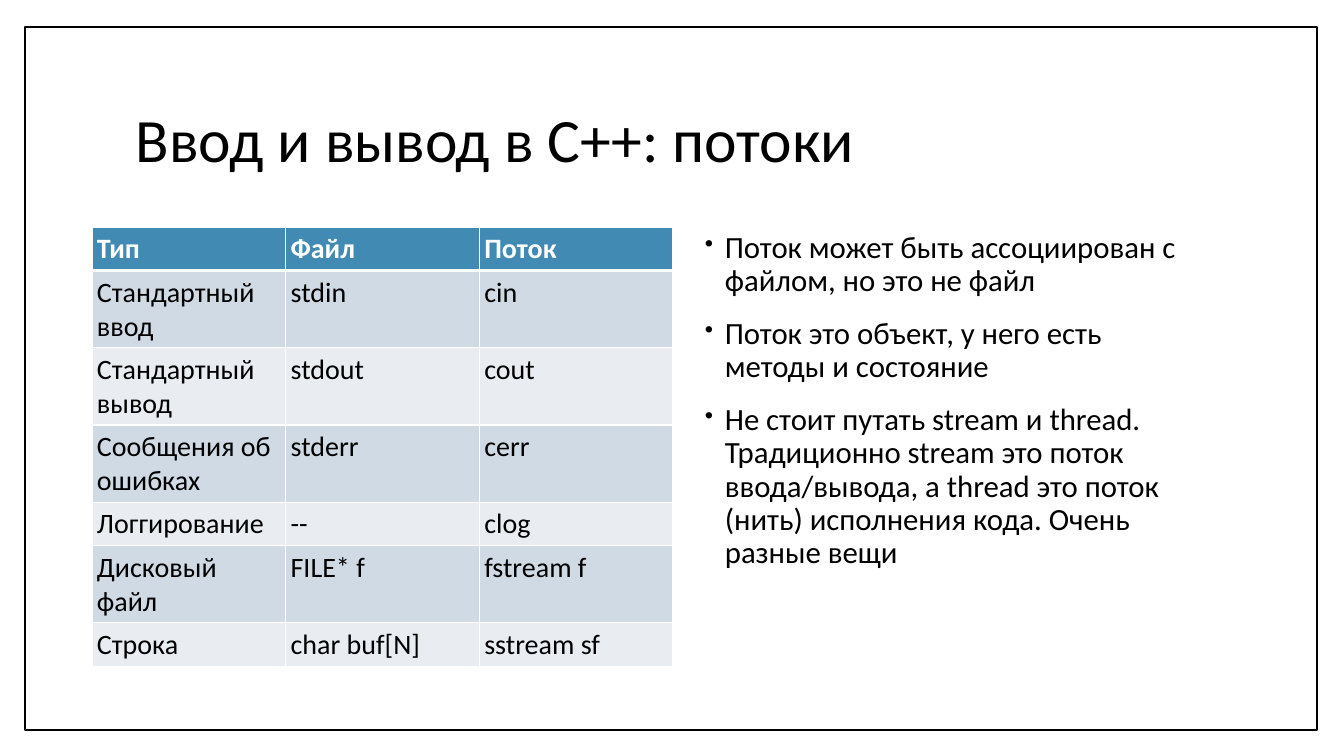
from dataclasses import dataclass

from lxml import etree
from pptx import Presentation
from pptx.dml.color import RGBColor
from pptx.enum.shapes import MSO_SHAPE
from pptx.enum.text import MSO_ANCHOR
from pptx.oxml.ns import qn
from pptx.util import Emu, Pt

RECTANGLE = MSO_SHAPE.RECTANGLE
TOP, MIDDLE = MSO_ANCHOR.TOP, MSO_ANCHOR.MIDDLE
SCALE = 914400 / 100.8


@dataclass(frozen=True)
class Theme:
    font: str = "Calibri"
    ink: str = "000000"
    paper: str = "FFFFFF"
    header: str = "418AB3"
    bands: tuple[str, str] = ("CFDAE5", "E9EDF2")
    title_size: int = 44
    body_size: int = 22
    table_size: int = 20
    thin: int = 1
    thick: int = 3


@dataclass(frozen=True)
class Box:
    left: int
    top: int
    width: int
    height: int

    def emu(self) -> tuple[Emu, ...]:
        return tuple(px(v) for v in (self.left, self.top, self.width, self.height))


@dataclass(frozen=True)
class TextBlock:
    box: Box
    paragraphs: tuple[str, ...]
    size: int
    anchor: MSO_ANCHOR = TOP
    before: int = 0
    bullet: bool = False


@dataclass(frozen=True)
class StreamRow:
    kind: str
    file: str
    stream: str

    def texts(self) -> tuple[str, str, str]:
        return self.kind, self.file, self.stream


THEME = Theme()
FRAME = Box(25, 27, 1292, 703)
TABLE = Box(92, 227, 581, 287)
CELL_MARGIN = 5
BULLET_INDENT, BULLET_HANG = 25, -20

TITLE = TextBlock(
    Box(126, 68, 1089, 149), ("Ввод и вывод в C++: потоки",), THEME.title_size, MIDDLE
)
NOTES = TextBlock(
    Box(690, 227, 524, 444),
    (
        "Поток может быть ассоциирован с файлом, но это не файл",
        "Поток это объект, у него есть методы и состояние",
        "Не стоит путать stream и thread. Традиционно stream это поток "
        "ввода/вывода, а thread это поток (нить) исполнения кода. Очень разные вещи",
    ),
    THEME.body_size,
    before=14,
    bullet=True,
)
ROWS = (
    StreamRow("Тип", "Файл", "Поток"),
    StreamRow("Стандартный ввод", "stdin", "cin"),
    StreamRow("Стандартный вывод", "stdout", "cout"),
    StreamRow("Сообщения об ошибках", "stderr", "cerr"),
    StreamRow("Логгирование", "--", "clog"),
    StreamRow("Дисковый файл", "FILE* f", "fstream f"),
    StreamRow("Строка", "char buf[N]", "sstream sf"),
)


def px(value: float) -> Emu:
    return Emu(round(value * SCALE))


def rgb(color: str) -> RGBColor:
    return RGBColor.from_string(color)


def write(p, text: str, *, size: int, color: str = THEME.ink, bold: bool = False,
          line: float | None = None, before: int = 0, bullet: bool = False) -> None:
    r = p.add_run()
    r.text = text
    r.font.name = THEME.font
    r.font.size = Pt(size)
    r.font.bold = bold
    r.font.color.rgb = rgb(color)
    if line:
        p.line_spacing = line
    p.space_before = Pt(before)
    if bullet:
        add_bullet(p, color)


def add_bullet(p, color: str) -> None:
    ppr = p._p.get_or_add_pPr()
    ppr.set("marL", str(px(BULLET_INDENT)))
    ppr.set("indent", str(px(BULLET_HANG)))
    tint = etree.SubElement(ppr, qn("a:buClr"))
    etree.SubElement(tint, qn("a:srgbClr"), val=color)
    etree.SubElement(ppr, qn("a:buSzPct"), val="80000")
    etree.SubElement(ppr, qn("a:buChar"), char="•")


def add_frame(s, box: Box) -> None:
    sp = s.shapes.add_shape(RECTANGLE, *box.emu())
    sp.shadow.inherit = False
    sp.fill.solid()
    sp.fill.fore_color.rgb = rgb(THEME.paper)
    sp.line.color.rgb = rgb(THEME.ink)
    sp.line.width = Pt(THEME.thin)


def add_text(s, block: TextBlock) -> None:
    tf = s.shapes.add_textbox(*block.box.emu()).text_frame
    tf.word_wrap = True
    tf.vertical_anchor = block.anchor
    for i, text in enumerate(block.paragraphs):
        p = tf.add_paragraph() if i else tf.paragraphs[0]
        write(p, text, size=block.size, line=0.9, before=block.before, bullet=block.bullet)


def add_borders(cell, top: int, bottom: int) -> None:
    tcpr = cell._tc.get_or_add_tcPr()
    widths = {"L": THEME.thin, "R": THEME.thin, "T": top, "B": bottom}
    for side, width in widths.items():
        ln = etree.SubElement(tcpr, qn(f"a:ln{side}"), w=str(Pt(width)))
        fill = etree.SubElement(ln, qn("a:solidFill"))
        etree.SubElement(fill, qn("a:srgbClr"), val=THEME.paper)


def add_cell(cell, text: str, row: int) -> None:
    is_header = row == 0
    margin = px(CELL_MARGIN)
    cell.margin_left = cell.margin_right = margin
    cell.margin_top = cell.margin_bottom = margin
    add_borders(cell, THEME.thick if row == 1 else THEME.thin,
                THEME.thick if is_header else THEME.thin)
    cell.fill.solid()
    cell.fill.fore_color.rgb = rgb(THEME.header if is_header else THEME.bands[(row - 1) % 2])
    write(cell.text_frame.paragraphs[0], text, size=THEME.table_size,
          color=THEME.paper if is_header else THEME.ink, bold=is_header)


def add_stream_table(s, box: Box, rows: tuple[StreamRow, ...]) -> None:
    columns = len(rows[0].texts())
    table = s.shapes.add_table(len(rows), columns, *box.emu()).table
    table.horz_banding = False
    for i, row in enumerate(rows):
        for j, text in enumerate(row.texts()):
            add_cell(table.cell(i, j), text, i)


def main() -> None:
    """Build the slide about C++ input and output streams."""
    prs = Presentation()
    prs.slide_width, prs.slide_height = px(1344), px(756)
    s = prs.slides.add_slide(prs.slide_layouts[6])
    add_frame(s, FRAME)
    add_text(s, TITLE)
    add_stream_table(s, TABLE, ROWS)
    add_text(s, NOTES)
    prs.save("out.pptx")


main()
